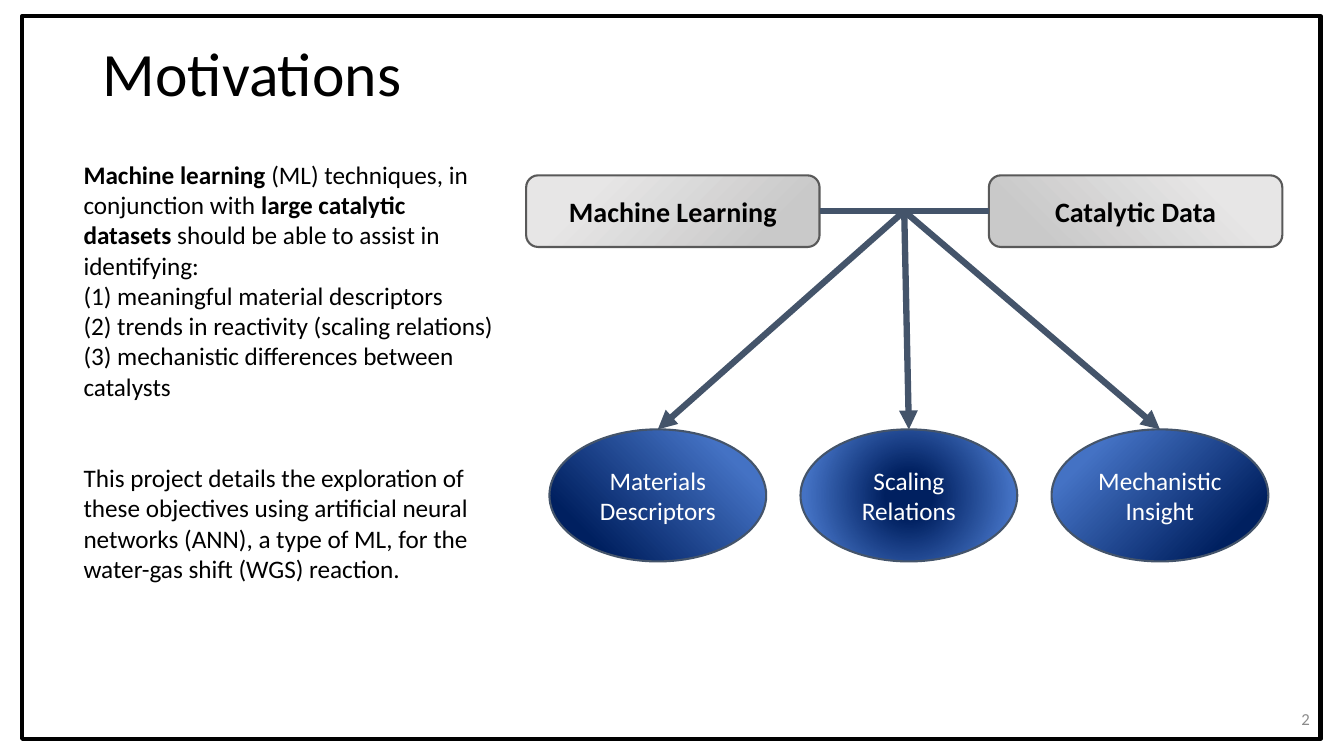
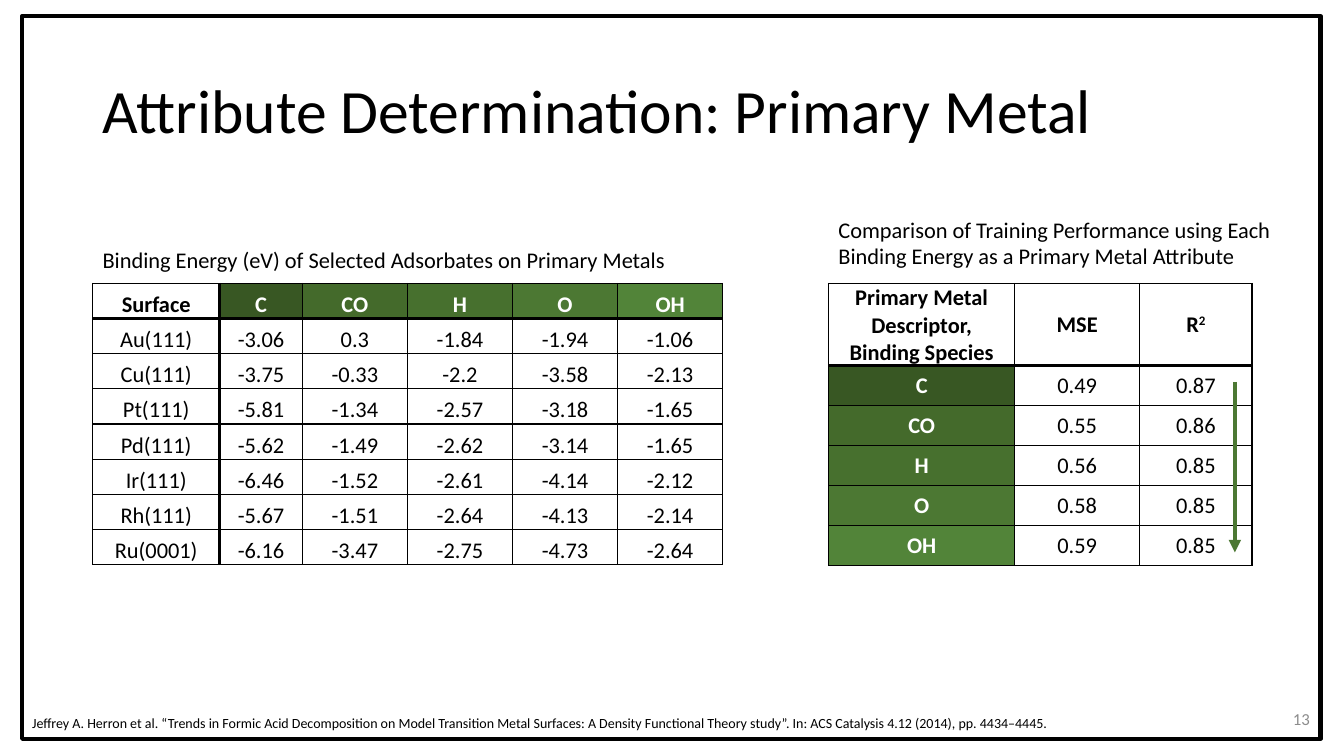
from lxml.etree import SubElement
from pptx import Presentation
from pptx.dml.color import RGBColor
from pptx.enum.shapes import MSO_CONNECTOR, MSO_SHAPE
from pptx.enum.text import MSO_ANCHOR as Anchor, PP_ALIGN as Align
from pptx.oxml import parse_xml
from pptx.oxml.ns import nsdecls, qn
from pptx.util import Inches, Pt

FONT = "Calibri"
WIDTH, HEIGHT = Inches(13.33), Inches(7.5)
COLORS = {
    "black": "000000", "white": "FFFFFF", "number": "8C8C8C",
    "slate": "44546A", "outline": "595959",
    "silver": "C9C9C9", "pale": "E7E6E6", "navy": "002060", "blue": "4472C4",
    "C": "385723", "CO": "446A2B", "H": "47702E", "O": "4C7833", "OH": "528439",
}
SPECIES = ["C", "CO", "H", "O", "OH"]
# Corner or centre where a radial gradient starts: left, top, right, bottom
FOCUS = {"left": (0, 100, 100, 0), "centre": (50, 50, 50, 50), "right": (100, 100, 0, 0)}


def across(share):
    """Length for a percentage of the slide's width."""
    return round(WIDTH * share / 100)


def down(share):
    """Length for a percentage of the slide's height."""
    return round(HEIGHT * share / 100)


def place(left, top, width, height):
    return across(left), down(top), across(width), down(height)


def rgb(name):
    return RGBColor.from_string(COLORS[name])


def write(frame, *paragraphs, size=18, color="black", bold=False,
          align=Align.LEFT, spacing=None):
    """Fill a text frame; a paragraph is a string or a list of (text, changes)."""
    for index, content in enumerate(paragraphs):
        paragraph = frame.paragraphs[0] if index == 0 else frame.add_paragraph()
        paragraph.alignment = align
        if spacing:
            paragraph.line_spacing = spacing
        runs = [(content, {})] if isinstance(content, str) else content
        for text, changes in runs:
            run = paragraph.add_run()
            run.text = text
            font = run.font
            font.name, font.size = FONT, Pt(size)
            font.bold = changes.get("bold", bold)
            font.color.rgb = rgb(color)
            if changes.get("superscript"):
                font._element.set("baseline", "30000")


def add_text(slide, area, *paragraphs, anchor=Anchor.TOP, **text_format):
    frame = slide.shapes.add_textbox(*place(*area)).text_frame
    frame.word_wrap = True
    frame.vertical_anchor = anchor
    write(frame, *paragraphs, **text_format)


def add_shape(slide, kind, area, line, line_width):
    shape = slide.shapes.add_shape(kind, *place(*area))
    shape.line.color.rgb = rgb(line)
    shape.line.width = Pt(line_width)
    shape.shadow.inherit = False
    return shape


def fill_radial(shape, stops, focus):
    stop_xml = "".join(
        f'<a:gs pos="{position * 1000}"><a:srgbClr val="{COLORS[color]}"/></a:gs>'
        for position, color in stops)
    sides = " ".join(f'{side}="{share * 1000}"' for side, share in zip("ltrb", FOCUS[focus]))
    gradient = parse_xml(
        f'<a:gradFill {nsdecls("a")} rotWithShape="1"><a:gsLst>{stop_xml}</a:gsLst>'
        f'<a:path path="circle"><a:fillToRect {sides}/></a:path></a:gradFill>')
    shape._element.spPr.find(qn("a:prstGeom")).addnext(gradient)


def add_node(slide, kind, area, paragraphs, stops, focus, line, **text_format):
    shape = add_shape(slide, kind, area, line, 1.5)
    fill_radial(shape, stops, focus)
    shape.text_frame.word_wrap = True
    shape.text_frame.vertical_anchor = Anchor.MIDDLE
    write(shape.text_frame, *paragraphs, align=Align.CENTER, **text_format)
    return shape


def add_line(slide, start, end, color, width, arrow=True):
    connector = slide.shapes.add_connector(
        MSO_CONNECTOR.STRAIGHT, across(start[0]), down(start[1]), across(end[0]), down(end[1]))
    connector.line.color.rgb = rgb(color)
    connector.line.width = Pt(width)
    properties = connector._element.spPr
    if arrow:
        SubElement(properties.find(qn("a:ln")), qn("a:tailEnd"), type="triangle")
    SubElement(properties, qn("a:effectLst"))
    return connector


def set_borders(cell, widths):
    """Draw black borders; widths are left, right, top and bottom in points."""
    properties = cell._tc.get_or_add_tcPr()
    for side, width in zip("LRTB", widths):
        line = SubElement(properties, qn(f"a:ln{side}"), w=str(Pt(width)))
        SubElement(SubElement(line, qn("a:solidFill")), qn("a:srgbClr"), val=COLORS["black"])


def add_table(slide, left, top, columns, heights, rows, anchor, thick_first_column=False):
    """Add a table; cells that name a species get that species' green."""
    table = slide.shapes.add_table(
        len(rows), len(columns), *place(left, top, sum(columns), sum(heights))).table
    table.first_row = table.horz_banding = False
    for column, width in zip(table.columns, columns):
        column.width = across(width)
    for row, height in zip(table.rows, heights):
        row.height = down(height)
    thin, thick = 1, 2.25
    for r, row in enumerate(rows):
        for c, content in enumerate(row):
            cell = table.cell(r, c)
            set_borders(cell, (
                thick if thick_first_column and c == 1 else thin,
                thick if thick_first_column and c == 0 else thin,
                thick if r == 1 else thin,
                thick if r == 0 else thin))
            cell.margin_left = cell.margin_right = cell.margin_top = Inches(0.01)
            cell.margin_bottom = 0
            cell.vertical_anchor = anchor
            paragraphs = content if isinstance(content, tuple) else (content,)
            is_species = content in SPECIES
            if is_species:
                cell.fill.solid()
                cell.fill.fore_color.rgb = rgb(content)
            else:
                cell.fill.background()
            write(cell.text_frame, *paragraphs, size=16, align=Align.CENTER,
                  bold=r == 0 or is_species, color="white" if is_species else "black")


def add_framed_slide(presentation, title, title_middle, number):
    """Add a slide with the black frame, title and page number."""
    slide = presentation.slides.add_slide(presentation.slide_layouts[6])
    add_shape(slide, MSO_SHAPE.RECTANGLE, (1.65, 2.13, 96.6, 95.6), "black", 3).fill.background()
    add_text(slide, (6.9, title_middle - 6, 86.25, 12), title,
             anchor=Anchor.MIDDLE, size=44, spacing=0.9)
    add_text(slide, (89.6, 92.5, 8.6, 5.3), number,
             anchor=Anchor.MIDDLE, size=12, color="number", align=Align.RIGHT)
    return slide


def add_motivations(presentation):
    slide = add_framed_slide(presentation, "Motivations", 10.1, "2")
    strong = {"bold": True}
    add_text(slide, (5.48, 20.4, 32.33, 33.6),
             [("Machine learning ", strong),
              ("(ML) techniques, in conjunction with ", {}),
              ("large catalytic datasets ", strong),
              ("should be able to assist in identifying:", {})],
             "(1) meaningful material descriptors",
             "(2) trends in reactivity (scaling relations)",
             "(3) mechanistic differences between catalysts")
    add_text(slide, (5.48, 60.53, 30.9, 17.47),
             "This project details the exploration of these objectives using artificial "
             "neural networks (ANN), a type of ML, for the water-gas shift (WGS) reaction.")

    box_left, box_step, box_top, box_width, box_height = 39.15, 34.43, 23.2, 21.83, 9.47
    sources = [
        add_node(slide, MSO_SHAPE.ROUNDED_RECTANGLE,
                 (box_left + index * box_step, box_top, box_width, box_height), [label],
                 [(16, "silver"), (79, "pale")], focus, "outline", size=20, bold=True)
        for index, (label, focus) in enumerate(
            [("Machine Learning", "right"), ("Catalytic Data", "left")])]

    middle = box_top + box_height / 2
    junction = (box_left + (box_step + box_width) / 2, middle)
    bar = add_line(slide, (box_left + box_width, middle), (box_left + box_step, middle),
                   "slate", 4.5, arrow=False)
    bar.begin_connect(sources[0], 3)
    bar.end_connect(sources[1], 1)

    outcomes = [(["Materials", "Descriptors"], "left"),
                (["Scaling Relations"], "centre"),
                (["Mechanistic", "Insight"], "right")]
    for index, (label, focus) in enumerate(outcomes):
        left, top, width = 40.88 + index * 18.68, 56.8, 16.13
        outcome = add_node(slide, MSO_SHAPE.OVAL, (left, top, width, 17.47), label,
                           [(18, "navy"), (82, "blue")], focus, "slate", color="white")
        arrow = add_line(slide, junction, (left + width / 2, top), "slate", 4.5)
        arrow.end_connect(outcome, 0)


def add_primary_metal(presentation):
    slide = add_framed_slide(presentation, "Attribute Determination: Primary Metal", 15, "13")
    table_top = 37.5
    energies = [
        ["Surface", *SPECIES],
        ["Au(111)", "-3.06", "0.3", "-1.84", "-1.94", "-1.06"],
        ["Cu(111)", "-3.75", "-0.33", "-2.2", "-3.58", "-2.13"],
        ["Pt(111)", "-5.81", "-1.34", "-2.57", "-3.18", "-1.65"],
        ["Pd(111)", "-5.62", "-1.49", "-2.62", "-3.14", "-1.65"],
        ["Ir(111)", "-6.46", "-1.52", "-2.61", "-4.14", "-2.12"],
        ["Rh(111)", "-5.67", "-1.51", "-2.64", "-4.13", "-2.14"],
        ["Ru(0001)", "-6.16", "-3.47", "-2.75", "-4.73", "-2.64"],
    ]
    add_text(slide, (6.9, 31.87, 45, 4.93),
             "Binding Energy (eV) of Selected Adsorbates on Primary Metals", size=16)
    add_table(slide, 6.9, table_top, [9.45, 6.15] + [7.82] * 4, [4.65] * len(energies),
              energies, Anchor.BOTTOM, thick_first_column=True)

    errors = ["0.49", "0.55", "0.56", "0.58", "0.59"]
    fits = ["0.87", "0.86", "0.85", "0.85", "0.85"]
    performance = [
        [("Primary Metal Descriptor,", "Binding Species"), "MSE",
         ([("R", {}), ("2", {"superscript": True})],)],
        *zip(SPECIES, errors, fits),
    ]
    add_text(slide, (61.65, 27.87, 35, 8.53),
             "Comparison of Training Performance using Each",
             "Binding Energy as a Primary Metal Attribute", size=16)
    add_table(slide, 61.65, table_top, [13.85, 9.3, 8.35], [10.57] + [5.3] * len(SPECIES),
              performance, Anchor.MIDDLE)
    add_line(slide, (91.88, 50.5), (91.88, 73.07), "O", 3)
    add_text(slide, (1.65, 93.87, 77.7, 3.6),
             "Jeffrey A. Herron et al. “Trends in Formic Acid Decomposition on Model Transition "
             "Metal Surfaces: A Density Functional Theory study”. In: ACS Catalysis 4.12 (2014), "
             "pp. 4434–4445.", size=10)


def main():
    presentation = Presentation()
    presentation.slide_width, presentation.slide_height = WIDTH, HEIGHT
    add_motivations(presentation)
    add_primary_metal(presentation)
    presentation.save("out.pptx")


if __name__ == "__main__":
    main()
